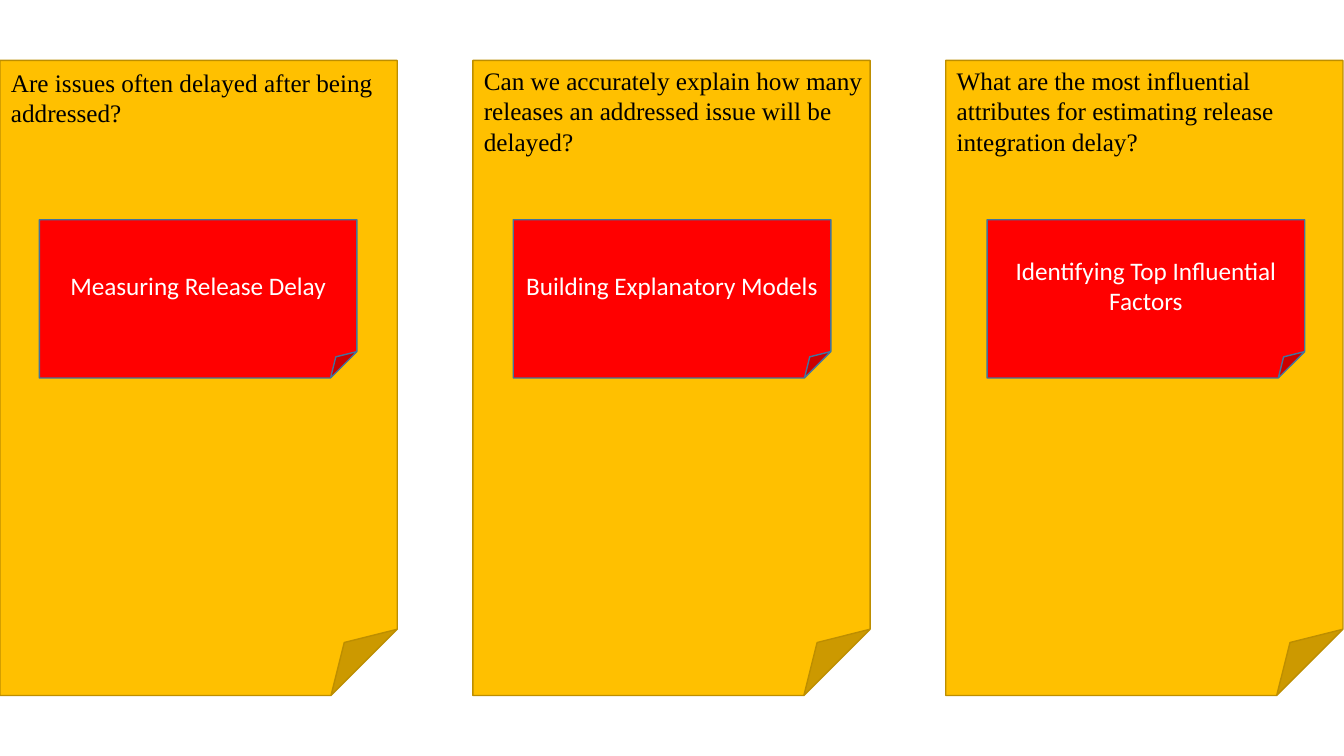
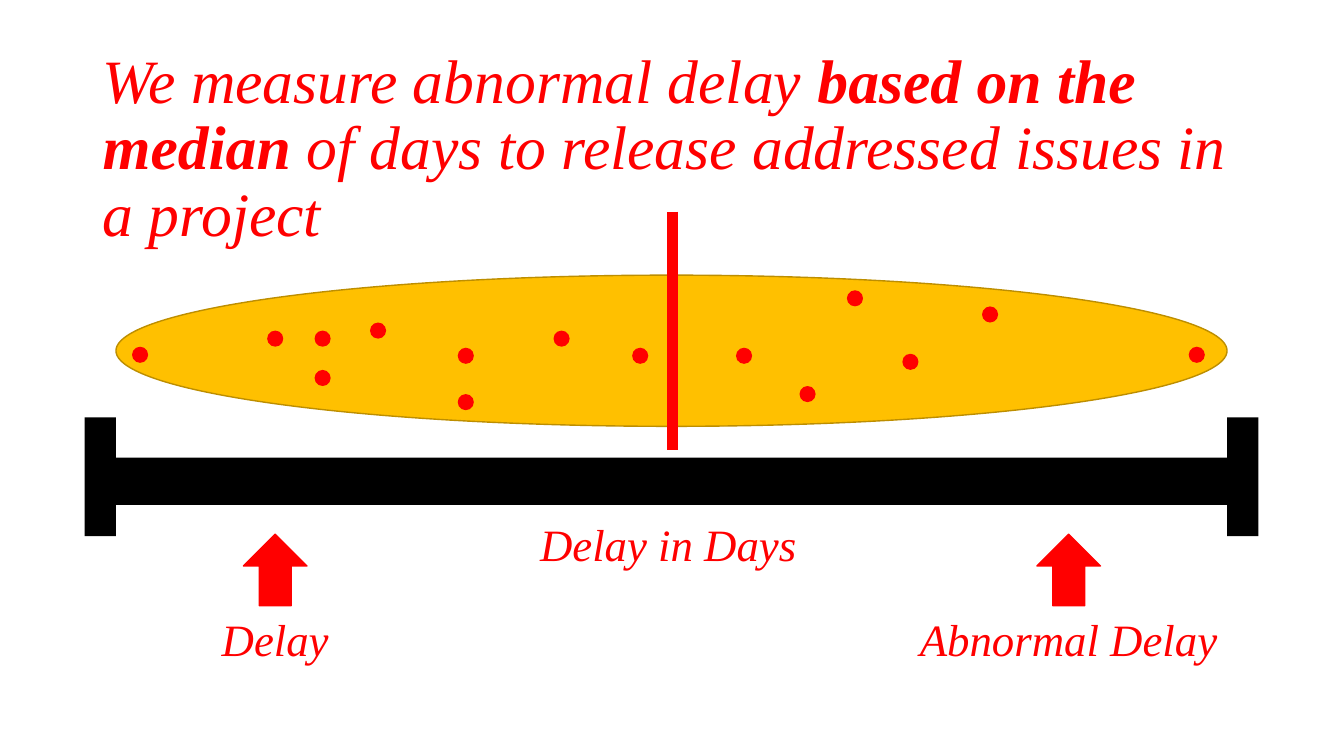
from dataclasses import dataclass

from lxml import etree
from pptx import Presentation
from pptx.dml.color import RGBColor
from pptx.enum.shapes import MSO_CONNECTOR, MSO_SHAPE
from pptx.enum.text import MSO_ANCHOR, PP_ALIGN
from pptx.oxml.ns import qn
from pptx.util import Inches, Pt


@dataclass(frozen=True)
class Theme:
    gold: str = "FFC000"
    gold_edge: str = "BD8E00"
    red: str = "FF0000"
    blue_edge: str = "43739E"
    black: str = "000000"
    white: str = "FFFFFF"
    serif: str = "Times New Roman"
    sans: str = "Calibri"
    title: int = 44
    label: int = 32
    body: int = 18


THEME = Theme()

# Question paragraphs, box width, box top, topic
RESEARCH = [
    (["Are issues often delayed after being addressed?"], 4.25, 0.62,
     "Measuring Release Delay"),
    (["Can we accurately explain how many",
      "releases an addressed issue will be",
      "delayed?"], 4.25, 0.6,
     "Building Explanatory Models"),
    (["What are the most influential attributes for estimating "
      "release integration delay?"], 3.94, 0.6,
     "Identifying Top Influential Factors"),
]
CARD_PITCH, TOPIC_PITCH = 4.69, 4.7

# Title runs: wording, bold
TITLE = [
    ("We measure abnormal delay ", False),
    ("based on the median", True),
    (" of days to release addressed issues in a project", False),
]
# Left and top of each issue in the cloud
ISSUES = [
    (1.31, 3.44), (2.65, 3.28), (3.12, 3.28), (3.12, 3.67), (3.67, 3.2),
    (4.54, 3.45), (4.54, 3.91), (5.49, 3.28), (6.27, 3.45), (7.3, 3.45),
    (7.93, 3.83), (8.4, 2.88), (8.95, 3.51), (9.74, 3.04), (11.79, 3.44),
]
ISSUE_SIZE = 0.16
# Wording, centre, top
LABELS = [
    ("Delay in Days", 6.63, 5.08),
    ("Delay", 2.73, 6.02),
    ("Abnormal Delay", 10.6, 6.02),
]
ARROW_CENTRES = [2.73, 10.6]
AXIS_LEFT, AXIS_WIDTH, CAP_WIDTH = 1.15, 11.02, 0.31


def rgb(colour):
    return RGBColor.from_string(colour)


def box(left, top, width, height):
    return [Inches(n) for n in (left, top, width, height)]


def add_figure(slide, kind, place, fill, edge=None):
    figure = slide.shapes.add_shape(kind, *box(*place))
    figure.shadow.inherit = False
    figure.fill.solid()
    figure.fill.fore_color.rgb = rgb(fill)
    if edge:
        figure.line.color.rgb = rgb(edge)
        figure.line.width = Pt(1)
    else:
        figure.line.fill.background()
    return figure


def write(frame, paragraphs, size, colour, name=THEME.serif, italic=False,
          align=PP_ALIGN.LEFT, anchor=MSO_ANCHOR.TOP, spacing=None):
    """Fill a frame with paragraphs, each a list of (wording, bold) runs."""
    frame.word_wrap = True
    frame.vertical_anchor = anchor
    for index, runs in enumerate(paragraphs):
        paragraph = frame.add_paragraph() if index else frame.paragraphs[0]
        paragraph.alignment = align
        paragraph.line_spacing = spacing
        font = paragraph.font
        font.name, font.size, font.italic = name, Pt(size), italic
        font.color.rgb = rgb(colour)
        for wording, bold in runs:
            run = paragraph.add_run()
            run.text = wording
            if bold:
                run.font.bold = True


def add_text(slide, place, paragraphs, size, colour, **style):
    frame = slide.shapes.add_textbox(*box(*place)).text_frame
    write(frame, paragraphs, size, colour, **style)


def build_questions(slide):
    for column, (question, width, top, topic) in enumerate(RESEARCH):
        left = column * CARD_PITCH
        add_figure(slide, MSO_SHAPE.FOLDED_CORNER, (left, 0.6, 3.94, 6.3),
                   THEME.gold, THEME.gold_edge)
        add_text(slide, (left + 0.01, top, width, 1.01),
                 [[(line, False)] for line in question],
                 THEME.body, THEME.black)
        note = add_figure(slide, MSO_SHAPE.FOLDED_CORNER,
                          (0.39 + column * TOPIC_PITCH, 2.18, 3.15, 1.57),
                          THEME.red, THEME.blue_edge)
        write(note.text_frame, [[(topic, False)]], THEME.body, THEME.white,
              name=THEME.sans, align=PP_ALIGN.CENTER,
              anchor=MSO_ANCHOR.MIDDLE)


def add_median(slide):
    middle = Inches(6.67)
    median = slide.shapes.add_connector(
        MSO_CONNECTOR.STRAIGHT, middle, Inches(2.1), middle, Inches(4.46))
    median.line.color.rgb = rgb(THEME.red)
    median.line.width = Pt(8.5)
    etree.SubElement(median.line._get_or_add_ln().getparent(),
                     qn("a:effectLst"))


def build_median(slide):
    add_text(slide, (0.92, 0.4, 11.5, 2.17), [TITLE], THEME.title, THEME.red,
             italic=True, anchor=MSO_ANCHOR.MIDDLE, spacing=0.9)

    add_figure(slide, MSO_SHAPE.RECTANGLE,
               (AXIS_LEFT, 4.54, AXIS_WIDTH, 0.47), THEME.black)
    for left in (AXIS_LEFT - CAP_WIDTH, AXIS_LEFT + AXIS_WIDTH):
        add_figure(slide, MSO_SHAPE.RECTANGLE, (left, 4.14, CAP_WIDTH, 1.18),
                   THEME.black)

    add_figure(slide, MSO_SHAPE.OVAL, (AXIS_LEFT, 2.73, AXIS_WIDTH, 1.5),
               THEME.gold, THEME.gold_edge)
    for left, top in ISSUES:
        add_figure(slide, MSO_SHAPE.OVAL, (left, top, ISSUE_SIZE, ISSUE_SIZE),
                   THEME.red)
    add_median(slide)

    for centre in ARROW_CENTRES:
        add_figure(slide, MSO_SHAPE.UP_ARROW,
                   (centre - 0.63 / 2, 5.3, 0.63, 0.71), THEME.red, THEME.red)
    for wording, centre, top in LABELS:
        add_text(slide, (centre - 3.86 / 2, top, 3.86, 0.64),
                 [[(wording, False)]], THEME.label, THEME.red,
                 italic=True, align=PP_ALIGN.CENTER)


def main():
    deck = Presentation()
    deck.slide_width, deck.slide_height = Inches(13.33), Inches(7.5)
    for build in (build_questions, build_median):
        build(deck.slides.add_slide(deck.slide_layouts[6]))
    deck.save("out.pptx")


if __name__ == "__main__":
    main()
